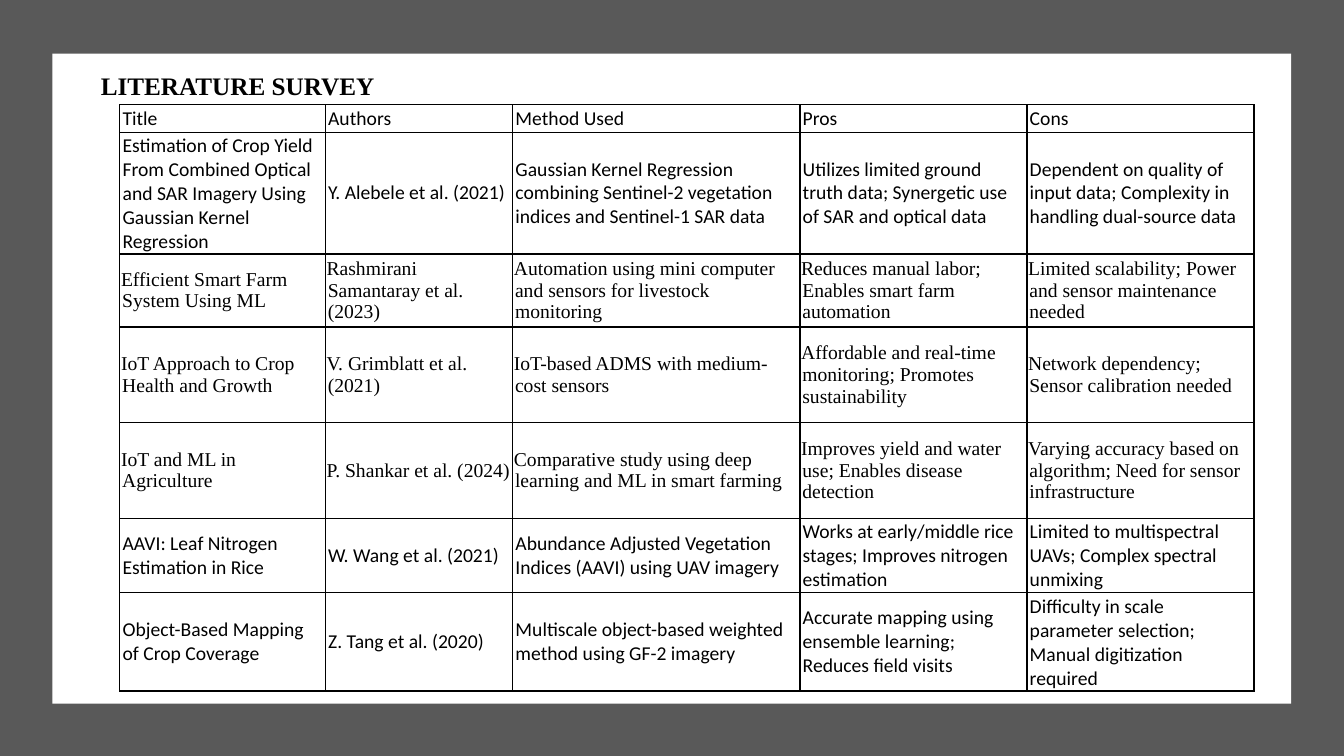
"""Build the literature survey slide with its table of crop studies."""
from dataclasses import dataclass

from lxml.etree import SubElement
from pptx import Presentation
from pptx.dml.color import RGBColor as RGB
from pptx.enum.shapes import MSO_SHAPE as SHAPE
from pptx.enum.text import MSO_ANCHOR as ANCHOR, MSO_AUTO_SIZE as AUTO
from pptx.oxml import parse_xml
from pptx.oxml.ns import nsdecls, qn
from pptx.util import Cm, Pt

COLORS = {"backdrop": "595959", "paper": "FFFFFF", "ink": "000000"}
SANS, SERIF = "Calibri", "Times New Roman"
COL_WIDTHS = (5.18, 4.72, 7.24, 5.72, 5.72)


@dataclass(frozen=True)
class Panel:
    left: float
    top: float
    width: float
    height: float
    color: str


@dataclass(frozen=True)
class CellStyle:
    font: str
    side: float
    edge: float
    hang: float = 0


@dataclass(frozen=True)
class Row:
    height: float
    style: CellStyle
    texts: tuple[str, ...]


ROOMY = CellStyle(SANS, 0.07, 0.05)
TIGHT = CellStyle(SERIF, 0.03, 0.03, 0.03)

PANELS = (
    Panel(0, 0, 33.87, 19.05, "backdrop"),
    Panel(1.32, 1.35, 31.22, 16.38, "paper"),
)

ROWS = (
    Row(0.66, ROOMY, ("Title", "Authors", "Method Used", "Pros", "Cons")),
    Row(2.97, ROOMY, (
        "Estimation of Crop Yield From Combined Optical and SAR Imagery "
        "Using Gaussian Kernel Regression",
        "Y. Alebele et al. (2021)",
        "Gaussian Kernel Regression combining Sentinel-2 vegetation indices "
        "and Sentinel-1 SAR data",
        "Utilizes limited ground truth data; Synergetic use of SAR and optical data",
        "Dependent on quality of input data; Complexity in handling dual-source data",
    )),
    Row(1.83, TIGHT, (
        "Efficient Smart Farm System Using ML",
        "Rashmirani Samantaray et al. (2023)",
        "Automation using mini computer and sensors for livestock monitoring",
        "Reduces manual labor; Enables smart farm automation",
        "Limited scalability; Power and sensor maintenance needed",
    )),
    Row(2.41, TIGHT, (
        "IoT Approach to Crop Health and Growth",
        "V. Grimblatt et al. (2021)",
        "IoT-based ADMS with medium-cost sensors",
        "Affordable and real-time monitoring; Promotes sustainability",
        "Network dependency; Sensor calibration needed",
    )),
    Row(2.41, TIGHT, (
        "IoT and ML in Agriculture",
        "P. Shankar et al. (2024)",
        "Comparative study using deep learning and ML in smart farming",
        "Improves yield and water use; Enables disease detection",
        "Varying accuracy based on algorithm; Need for sensor infrastructure",
    )),
    Row(1.83, ROOMY, (
        "AAVI: Leaf Nitrogen Estimation in Rice",
        "W. Wang et al. (2021)",
        "Abundance Adjusted Vegetation Indices (AAVI) using UAV imagery",
        "Works at early/middle rice stages; Improves nitrogen estimation",
        "Limited to multispectral UAVs; Complex spectral unmixing",
    )),
    Row(2.41, ROOMY, (
        "Object-Based Mapping of Crop Coverage",
        "Z. Tang et al. (2020)",
        "Multiscale object-based weighted method using GF-2 imagery",
        "Accurate mapping using ensemble learning; Reduces field visits",
        "Difficulty in scale parameter selection; Manual digitization required",
    )),
)


def set_all(obj, values: dict) -> None:
    for name, value in values.items():
        setattr(obj, name, value)


def write(p, text: str, font: str, size: float, bold: bool = False) -> None:
    r = p.add_run()
    r.text = text
    set_all(r.font, {"name": font, "size": Pt(size), "bold": bold})
    r.font.color.rgb = RGB.from_string(COLORS["ink"])


def draw_panel(s, panel: Panel) -> None:
    box = map(Cm, (panel.left, panel.top, panel.width, panel.height))
    sp = s.shapes.add_shape(SHAPE.RECTANGLE, *box)
    sp.shadow.inherit = False
    sp.fill.solid()
    sp.fill.fore_color.rgb = RGB.from_string(COLORS[panel.color])
    sp.line.fill.background()


def draw_heading(s, text: str) -> None:
    tf = s.shapes.add_textbox(Cm(2.29), Cm(1.65), Cm(10.41), Cm(1.02)).text_frame
    set_all(tf, {"word_wrap": True, "auto_size": AUTO.SHAPE_TO_FIT_TEXT})
    write(tf.paragraphs[0], text, SERIF, 18, True)


def add_borders(cell) -> None:
    tc_pr = cell._tc.get_or_add_tcPr()
    for i, side in enumerate("LRTB"):
        ln = parse_xml(f'<a:ln{side} {nsdecls("a")} w="{Pt(1)}"/>')
        fill = SubElement(ln, qn("a:solidFill"))
        SubElement(fill, qn("a:srgbClr"), val=COLORS["ink"])
        tc_pr.insert(i, ln)


def fill_cell(cell, text: str, style: CellStyle) -> None:
    set_all(cell, {
        "margin_left": Cm(style.side), "margin_right": Cm(style.side),
        "margin_top": Cm(style.edge), "margin_bottom": Cm(style.edge),
        "vertical_anchor": ANCHOR.MIDDLE,
    })
    cell.fill.background()
    add_borders(cell)
    p = cell.text_frame.paragraphs[0]
    if style.hang:
        p_pr = p._p.get_or_add_pPr()
        p_pr.set("marL", str(Cm(style.hang)))
        p_pr.set("indent", str(-Cm(style.hang)))
    write(p, text, style.font, 14)


def draw_table(s, rows: tuple[Row, ...]) -> None:
    width, height = sum(COL_WIDTHS), sum(row.height for row in rows)
    table = s.shapes.add_table(len(rows), len(COL_WIDTHS), Cm(3.02), Cm(2.64),
                               Cm(width), Cm(height)).table
    set_all(table, {"first_row": False, "horz_banding": False})
    for col, col_width in zip(table.columns, COL_WIDTHS):
        col.width = Cm(col_width)
    for table_row, row in zip(table.rows, rows):
        table_row.height = Cm(row.height)
        for cell, text in zip(table_row.cells, row.texts):
            fill_cell(cell, text, row.style)


def main() -> None:
    prs = Presentation()
    set_all(prs, {"slide_width": Cm(33.87), "slide_height": Cm(19.05)})
    s = prs.slides.add_slide(prs.slide_layouts[6])
    for panel in PANELS:
        draw_panel(s, panel)
    draw_heading(s, "LITERATURE SURVEY")
    draw_table(s, ROWS)
    prs.save("out.pptx")


if __name__ == "__main__":
    main()
